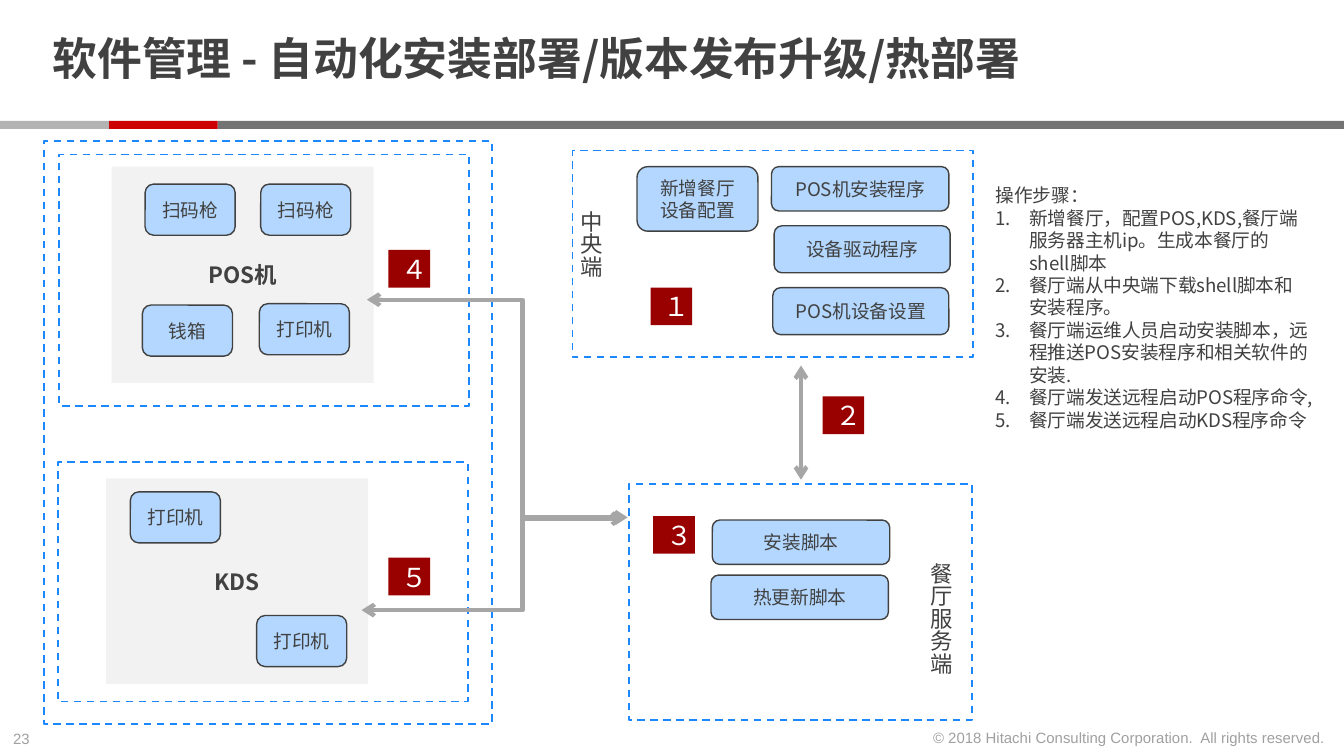
import pptx
import pptx.dml.color
import pptx.enum.dml
import pptx.enum.shapes
import pptx.enum.text
import pptx.oxml.ns
import pptx.util
from lxml import etree

Inches, Pt = pptx.util.Inches, pptx.util.Pt
RGBColor = pptx.dml.color.RGBColor
MSO_SHAPE = pptx.enum.shapes.MSO_SHAPE
MSO_CONNECTOR = pptx.enum.shapes.MSO_CONNECTOR
PP_ALIGN = pptx.enum.text.PP_ALIGN
MSO_ANCHOR = pptx.enum.text.MSO_ANCHOR
MSO_AUTO_SIZE = pptx.enum.text.MSO_AUTO_SIZE
qn = pptx.oxml.ns.qn

TEXT = RGBColor(0x41, 0x41, 0x41)
FOOTER = RGBColor(0xA0, 0xA0, 0xA0)
WHITE = RGBColor(0xFF, 0xFF, 0xFF)
DARK_GRAY = RGBColor(0x73, 0x73, 0x73)
LIGHT_GRAY = RGBColor(0xB3, 0xB3, 0xB3)
RED = RGBColor(0xCC, 0x00, 0x00)
BADGE = RGBColor(0x99, 0x00, 0x00)
FRAME = RGBColor(0x1B, 0x88, 0xFF)
CHIP = RGBColor(0xB3, 0xD7, 0xFF)
PANEL = RGBColor(0xF2, 0xF2, 0xF2)
ARROW = RGBColor(0xA6, 0xA6, 0xA6)
CJK = "Noto Sans CJK SC"


def write(s, text, size, color=TEXT, font=CJK, bold=False, align=PP_ALIGN.LEFT):
    """Fill a shape with text, one paragraph a line, in a single format."""
    s.text_frame.text = text
    for p in s.text_frame.paragraphs:
        p.alignment = align
        for r in p.runs:
            r.font.size = Pt(size)
            r.font.bold = bold
            r.font.color.rgb = color
            r.font.name = font
            etree.SubElement(r.font._element, qn("a:ea"), typeface=font)


def add_block(kind, box, fill=None, line=None, line_width=1):
    """Add a flat shape with middle-anchored text."""
    s = slide.shapes.add_shape(kind, *map(Inches, box))
    s.shadow.inherit = False
    if fill is None:
        s.fill.background()
    else:
        s.fill.solid()
        s.fill.fore_color.rgb = fill
    if line is None:
        s.line.fill.background()
    else:
        s.line.color.rgb = line
        s.line.width = Pt(line_width)
    s.text_frame.vertical_anchor = MSO_ANCHOR.MIDDLE
    return s


prs = pptx.Presentation()
prs.slide_width = Inches(10)
prs.slide_height = Inches(10 * 9 / 16)
slide = prs.slides.add_slide(prs.slide_layouts[5])

# Title
title = slide.shapes.title
title.left, title.top, title.width, title.height = map(Inches, (0.29, 0.06, 7.71, 0.8))
write(title, "软件管理 - 自动化安装部署/版本发布升级/热部署", 24, bold=True)
tf = title.text_frame
tf.auto_size = MSO_AUTO_SIZE.NONE
tf.vertical_anchor = MSO_ANCHOR.MIDDLE
tf.margin_left = tf.margin_right = Inches(0.1)
tf.margin_top = tf.margin_bottom = 0
tf.paragraphs[0].line_spacing = 0.85

# Divider bar
for left, width, color in [(1.62, 8.38, DARK_GRAY), (0.81, 0.81, RED), (0, 0.81, LIGHT_GRAY)]:
    add_block(MSO_SHAPE.RECTANGLE, (left, 0.9, width, 0.06), color)

# Page number and copyright
for box, text, align in [
    ((0, 5.38, 0.34, 0.24), "23", PP_ALIGN.LEFT),
    ((6.8, 5.37, 3.16, 0.24),
     "© 2018 Hitachi Consulting Corporation.  All rights reserved.", PP_ALIGN.RIGHT),
]:
    s = slide.shapes.add_textbox(*map(Inches, box))
    write(s, text, 8, FOOTER, "Arial", align=align)

# Dashed frames: store, POS, KDS, central side, restaurant server
for box in [
    (0.33, 1.05, 3.33, 4.34),
    (0.44, 1.15, 3.05, 1.87),
    (0.43, 3.44, 3.05, 1.78),
    (4.26, 1.12, 2.98, 1.54),
    (4.68, 3.6, 2.55, 1.76),
]:
    s = add_block(MSO_SHAPE.RECTANGLE, box, line=FRAME)
    s.line.dash_style = pptx.enum.dml.MSO_LINE.DASH

# Device panels
for box, text in [((0.83, 1.24, 1.95, 1.61), "POS机"), ((0.79, 3.56, 1.95, 1.53), "KDS")]:
    s = add_block(MSO_SHAPE.RECTANGLE, box, PANEL)
    write(s, text, 12, bold=True, align=PP_ALIGN.CENTER)

# Devices and programs
DEVICE, PROGRAM = (0.67, 0.38), (1.32, 0.33)
for left, top, size, text in [
    (1.08, 1.37, DEVICE, "扫码枪"),
    (1.94, 1.37, DEVICE, "扫码枪"),
    (1.06, 2.27, DEVICE, "钱箱"),
    (1.93, 2.26, DEVICE, "打印机"),
    (0.97, 3.66, DEVICE, "打印机"),
    (1.91, 4.58, DEVICE, "打印机"),
    (4.74, 1.24, (0.9, 0.48), "新增餐厅设备配置"),
    (5.74, 1.24, PROGRAM, "POS机安装程序"),
    (5.76, 1.68, (1.31, 0.35), "设备驱动程序"),
    (5.75, 2.14, (1.31, 0.35), "POS机设备设置"),
    (5.3, 3.87, PROGRAM, "安装脚本"),
    (5.29, 4.28, PROGRAM, "热更新脚本"),
]:
    s = add_block(MSO_SHAPE.ROUNDED_RECTANGLE, (left, top, *size), CHIP, TEXT, 0.75)
    write(s, text, 10, align=PP_ALIGN.CENTER)

# Step badges
for left, top, text in [
    (4.84, 2.14, "１"), (6.12, 2.95, "２"), (4.86, 3.84, "３"),
    (2.89, 1.86, "４"), (2.89, 4.15, "５"),
]:
    s = add_block(MSO_SHAPE.RECTANGLE, (left, top, 0.31, 0.28), BADGE)
    write(s, text, 14, WHITE, align=PP_ALIGN.CENTER)

# Vertical labels
for box, text in [((4.15, 1.47, 0.4, 0.6), "中央端"), ((6.75, 4.09, 0.4, 0.93), "餐厅服务端")]:
    s = slide.shapes.add_textbox(*map(Inches, box))
    write(s, text, 12, font="Arial")
    s.text_frame._txBody.bodyPr.set("vert", "eaVert")

# Operating steps
s = slide.shapes.add_textbox(*map(Inches, (7.31, 1.32, 2.53, 2.12)))
s.text_frame.word_wrap = True
write(s, "\n".join([
    "操作步骤：",
    "新增餐厅，配置POS,KDS,餐厅端服务器主机ip。生成本餐厅的shell脚本",
    "餐厅端从中央端下载shell脚本和安装程序。",
    "餐厅端运维人员启动安装脚本，远程推送POS安装程序和相关软件的安装.",
    "餐厅端发送远程启动POS程序命令,",
    "餐厅端发送远程启动KDS程序命令",
]), 10)
for p in s.text_frame.paragraphs[1:]:
    pPr = p._p.get_or_add_pPr()
    pPr.set("marL", str(Inches(0.25)))
    pPr.set("indent", str(Inches(-0.25)))
    etree.SubElement(pPr, qn("a:buFont"), typeface="+mj-lt")
    etree.SubElement(pPr, qn("a:buAutoNum"), type="arabicPeriod")

# Two-way arrows; the bend is a share of the width in 1/100000
for kind, ends, bend in [
    (MSO_CONNECTOR.STRAIGHT, (5.96, 2.72, 5.96, 3.57), None),
    (MSO_CONNECTOR.ELBOW, (2.73, 2.23, 4.65, 3.86), 60300),
    (MSO_CONNECTOR.ELBOW, (2.69, 4.54, 4.67, 3.85), 60500),
]:
    s = slide.shapes.add_connector(kind, *map(Inches, ends))
    s.line.color.rgb = ARROW
    s.line.width = Pt(2.25)
    ln = s.line._get_or_add_ln()
    for end in ("a:headEnd", "a:tailEnd"):
        etree.SubElement(ln, qn(end), type="arrow")
    spPr = s._element.spPr
    etree.SubElement(spPr, qn("a:effectLst"))
    if bend:
        avLst = spPr.find(qn("a:prstGeom")).find(qn("a:avLst"))
        etree.SubElement(avLst, qn("a:gd"), name="adj1", fmla=f"val {bend}")

prs.save("out.pptx")
